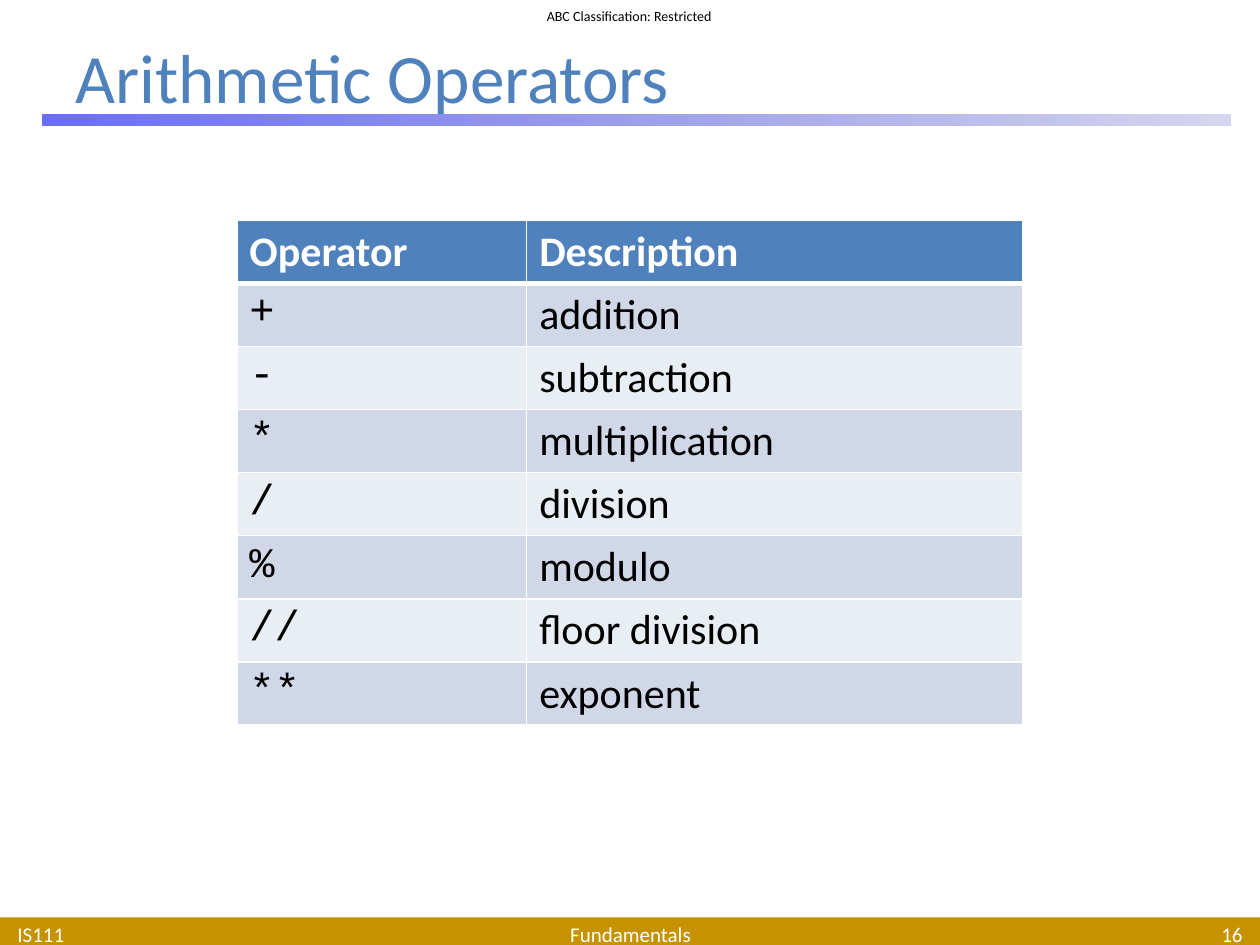
from dataclasses import dataclass
from pptx import Presentation, util as u
from pptx.dml.color import RGBColor
from pptx.enum import shapes, text
from pptx.oxml import parse_xml
from pptx.oxml.ns import nsdecls, qn


@dataclass(frozen=True)
class Theme:
    font: str = "Calibri"
    mono: str = "Courier New"
    ink: str = "000000"
    white: str = "FFFFFF"
    blue: str = "4F81BD"
    gold: str = "C69200"
    dark: str = "D0D8E8"
    light: str = "E9EDF4"
    fade: tuple = (("464AFC", 80), ("3235B4", 20))
    tiny: float = 8
    small: float = 12
    body: float = 24
    head: float = 39.6


T = Theme()
LEFT, MID, RIGHT = text.PP_ALIGN.LEFT, text.PP_ALIGN.CENTER, text.PP_ALIGN.RIGHT
ROWS = [
    ("Operator", "Description"),
    ("+", "addition"),
    ("-", "subtraction"),
    ("*", "multiplication"),
    ("/", "division"),
    ("%", "modulo"),
    ("//", "floor division"),
    ("**", "exponent"),
]


def px(n):
    return u.Emu(n * 9144)


def rgb(hue):
    return RGBColor.from_string(hue)


def write(frame, words, size=T.body, font=T.font, color=T.ink, bold=False, align=LEFT):
    para = frame.paragraphs[0]
    para.alignment = align
    run = para.add_run()
    run.text = words
    run.font.size = u.Pt(size)
    run.font.name = font
    run.font.bold = bold
    run.font.color.rgb = rgb(color)


def label(slide, box, words, pad=(10, 0), wrap=True, **form):
    frame = slide.shapes.add_textbox(*map(px, box)).text_frame
    frame.word_wrap = wrap
    frame.vertical_anchor = text.MSO_ANCHOR.MIDDLE
    frame.margin_left = frame.margin_right = px(pad[0])
    frame.margin_top = frame.margin_bottom = px(pad[1])
    write(frame, words, **form)


def bar(slide, box):
    shape = slide.shapes.add_shape(shapes.MSO_SHAPE.RECTANGLE, *map(px, box))
    shape.shadow.inherit = False
    shape.line.fill.background()
    return shape


def header(slide, box):
    x, y, w, h = box
    label(slide, (x + 418, y, 163, 25), "ABC Classification: Restricted",
          pad=(0, 0), wrap=False, size=T.tiny, align=MID)
    rule = bar(slide, (x + 34, y + h - 9, 943, 9))
    rule.fill.gradient()
    rule.fill.gradient_angle = 0
    for stop, (hue, clear) in zip(rule.fill.gradient_stops, T.fade):
        stop.color.rgb = rgb(hue)
    for node, (hue, clear) in zip(rule._element.spPr.iter(qn("a:srgbClr")), T.fade):
        node.append(parse_xml(f'<a:alpha {nsdecls("a")} val="{clear * 1000}"/>'))
    label(slide, (x + 50, y + 30, w - 100, 61), "Arithmetic Operators",
          pad=(10, 5), size=T.head, color=T.blue)


def edge(cell, side, width):
    props = cell._tc.get_or_add_tcPr()
    line = parse_xml(
        f'<a:{side} {nsdecls("a")} w="{u.Pt(width)}"><a:solidFill>'
        f'<a:srgbClr val="{T.white}"/></a:solidFill></a:{side}>')
    props.append(line)


def grid(slide, box, cols):
    table = slide.shapes.add_table(len(ROWS), len(cols), *map(px, box)).table
    for col, wide in zip(table.columns, cols):
        col.width = px(wide)
    for r, row in enumerate(ROWS):
        for c, words in enumerate(row):
            cell = table.cell(r, c)
            top = r == 0
            for side in ("lnL", "lnR", "lnT", "lnB"):
                thick = (top and side == "lnB") or (r == 1 and side == "lnT")
                edge(cell, side, 3 if thick else 1)
            cell.fill.solid()
            cell.fill.fore_color.rgb = rgb(T.blue if top else T.dark if r % 2 else T.light)
            write(cell.text_frame, words, bold=top,
                  color=T.white if top else T.ink,
                  font=T.mono if c == 0 and not top else T.font)


def footer(slide, box):
    x, y, w, h = box
    band = bar(slide, box)
    band.fill.solid()
    band.fill.fore_color.rgb = rgb(T.gold)
    parts = [("IS111", 4, 233, LEFT), ("Fundamentals", 342, 317, MID), ("16", 763, 233, RIGHT)]
    for words, left, wide, align in parts:
        label(slide, (x + left, y + 1, wide, h - 1), words,
              size=T.small, color=T.white, align=align)


def main():
    deck = Presentation()
    deck.slide_width, deck.slide_height = px(1000), px(750)
    slide = deck.slides.add_slide(deck.slide_layouts[6])
    header(slide, (0, 0, 1000, 100))
    grid(slide, (188, 175, 624, 400), (230, 394))
    footer(slide, (0, 728, 1000, 25))
    deck.save("out.pptx")


if __name__ == "__main__":
    main()
